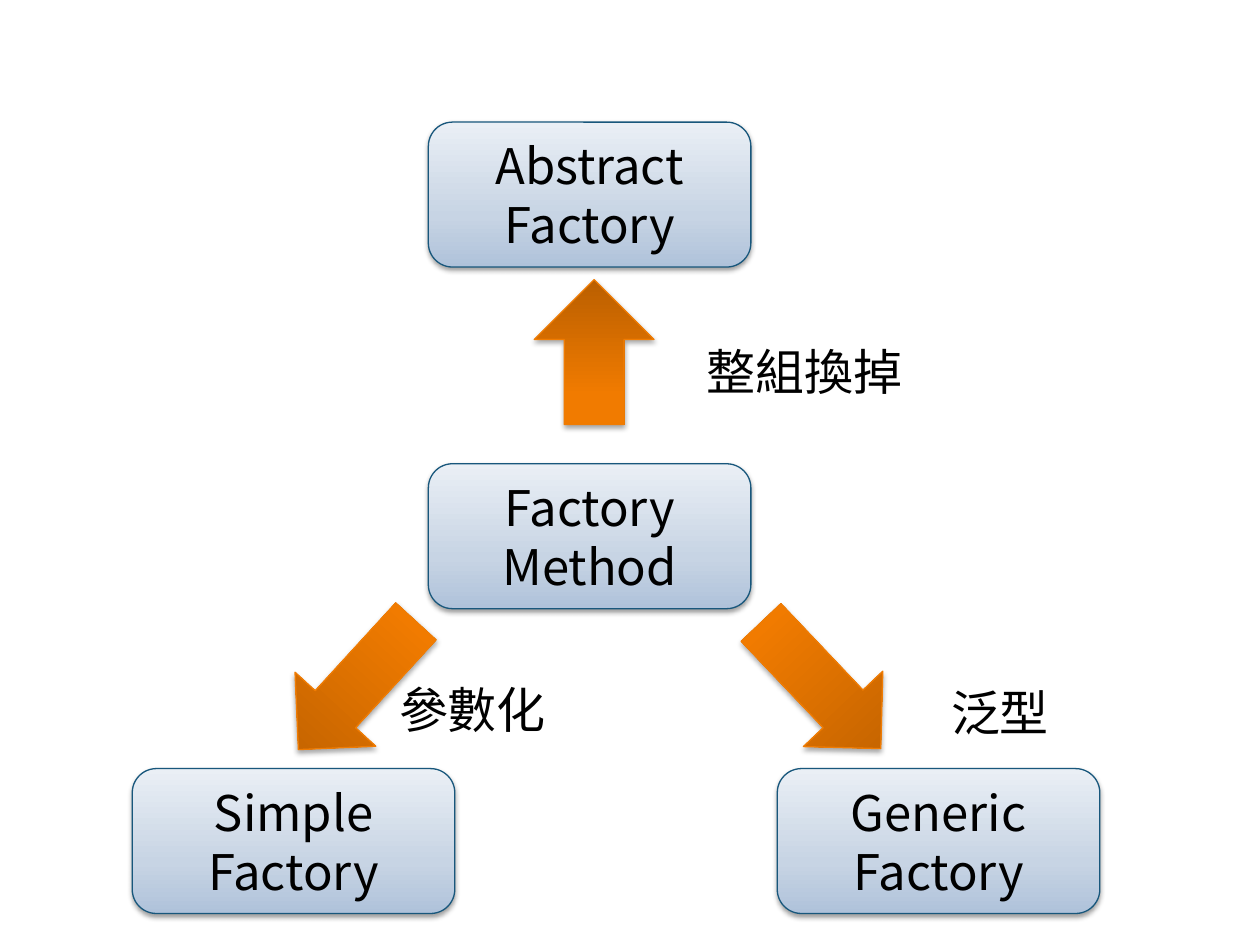
from dataclasses import dataclass

from lxml.etree import SubElement
from pptx import Presentation
from pptx.dml.color import RGBColor
from pptx.enum.shapes import MSO_SHAPE
from pptx.enum.text import MSO_ANCHOR, PP_ALIGN
from pptx.oxml.ns import qn
from pptx.shapes.autoshape import Shape
from pptx.slide import Slide
from pptx.text.text import TextFrame
from pptx.util import Pt

FONT = "Noto Sans CJK TC"
BLACK = RGBColor(0x00, 0x00, 0x00)
BOX_LINE = RGBColor(0x18, 0x57, 0x7C)
ARROW_LINE = RGBColor(0xF0, 0x7C, 0x03)
# Gradient stops run from the bottom edge to the top: percent, colour
BOX_STOPS = [(0, RGBColor(0xAF, 0xC2, 0xDA)), (35, RGBColor(0xC7, 0xD4, 0xE4)),
             (100, RGBColor(0xEA, 0xEF, 0xF5))]
ARROW_STOPS = [(0, RGBColor(0xBA, 0x5F, 0x00)), (80, RGBColor(0xF1, 0x7B, 0x00)),
               (100, RGBColor(0xF2, 0x7C, 0x00))]
BOX_WIDTH, BOX_HEIGHT = 184.3, 82.8
LABEL_HEIGHT = 41


@dataclass
class Pattern:
    lines: list[str]
    left: float
    top: float


@dataclass
class Arrow:
    left: float
    top: float
    width: float
    height: float
    rotation: float


@dataclass
class Label:
    text: str
    left: float
    top: float
    width: float


PATTERNS = [
    Pattern(["Abstract Factory"], 244.8, 69.8),
    Pattern(["Factory Method"], 244.8, 265),
    Pattern(["Simple Factory"], 75.6, 439.2),
    Pattern(["Generic", "Factory"], 444.2, 439.2),
]
ARROWS = [
    Arrow(172.8, 342, 62.6, 99.4, 42.5),
    Arrow(437.8, 342, 62.6, 99.4, 316.5),
    Arrow(305.3, 159.8, 68.4, 82.8, 180),
]
LABELS = [
    Label("參數化", 221, 384.5, 113),
    Label("泛型", 536.4, 386.6, 113),
    Label("整組換掉", 396.7, 191.5, 139.7),
]


def write_text(frame: TextFrame, lines: list[str], align: PP_ALIGN) -> None:
    frame.word_wrap = True
    frame.text = "\n".join(lines)
    for paragraph in frame.paragraphs:
        paragraph.alignment = align
        font = paragraph.font
        font.size = Pt(28)
        font.color.rgb = BLACK
        font.name = FONT
        # East Asian typeface for the Chinese labels
        defaults = paragraph._p.pPr.find(qn("a:defRPr"))
        SubElement(defaults, qn("a:ea"), typeface=FONT)


def style_shape(shape: Shape, stops: list[tuple[int, RGBColor]],
                line_color: RGBColor, shadow_alpha: int, shadow_distance: float) -> None:
    properties = shape._element.spPr
    # Gradient
    shape.fill.gradient()
    shape.fill.gradient_angle = 90
    stop_list = properties.find(qn("a:gradFill")).find(qn("a:gsLst"))
    stop_list.clear()
    for position, color in stops:
        stop = SubElement(stop_list, qn("a:gs"), pos=str(position * 1000))
        SubElement(stop, qn("a:srgbClr"), val=str(color))
    # Outline
    shape.line.color.rgb = line_color
    shape.line.width = Pt(0.75)
    # Soft shadow below
    shape.shadow.inherit = False
    shadow = SubElement(properties.find(qn("a:effectLst")), qn("a:outerShdw"),
                        blurRad=str(Pt(3.1)), dist=str(Pt(shadow_distance)),
                        dir="5400000", rotWithShape="0")
    shadow_color = SubElement(shadow, qn("a:srgbClr"), val=str(BLACK))
    SubElement(shadow_color, qn("a:alpha"), val=str(shadow_alpha * 1000))


def draw_pattern(slide: Slide, pattern: Pattern) -> None:
    box = slide.shapes.add_shape(MSO_SHAPE.ROUNDED_RECTANGLE, Pt(pattern.left),
                                 Pt(pattern.top), Pt(BOX_WIDTH), Pt(BOX_HEIGHT))
    style_shape(box, BOX_STOPS, BOX_LINE, 38, 1.6)
    box.text_frame.vertical_anchor = MSO_ANCHOR.MIDDLE
    write_text(box.text_frame, pattern.lines, PP_ALIGN.CENTER)


def draw_arrow(slide: Slide, arrow: Arrow) -> None:
    shape = slide.shapes.add_shape(MSO_SHAPE.DOWN_ARROW, Pt(arrow.left), Pt(arrow.top),
                                   Pt(arrow.width), Pt(arrow.height))
    shape.rotation = arrow.rotation
    style_shape(shape, ARROW_STOPS, ARROW_LINE, 35, 1.8)


def draw_label(slide: Slide, label: Label) -> None:
    box = slide.shapes.add_textbox(Pt(label.left), Pt(label.top),
                                   Pt(label.width), Pt(LABEL_HEIGHT))
    write_text(box.text_frame, [label.text], PP_ALIGN.LEFT)


def main() -> None:
    presentation = Presentation()
    presentation.slide_width, presentation.slide_height = Pt(720), Pt(540)
    slide = presentation.slides.add_slide(presentation.slide_layouts[6])
    for pattern in PATTERNS:
        draw_pattern(slide, pattern)
    for arrow in ARROWS:
        draw_arrow(slide, arrow)
    for label in LABELS:
        draw_label(slide, label)
    presentation.save("out.pptx")


if __name__ == "__main__":
    main()
